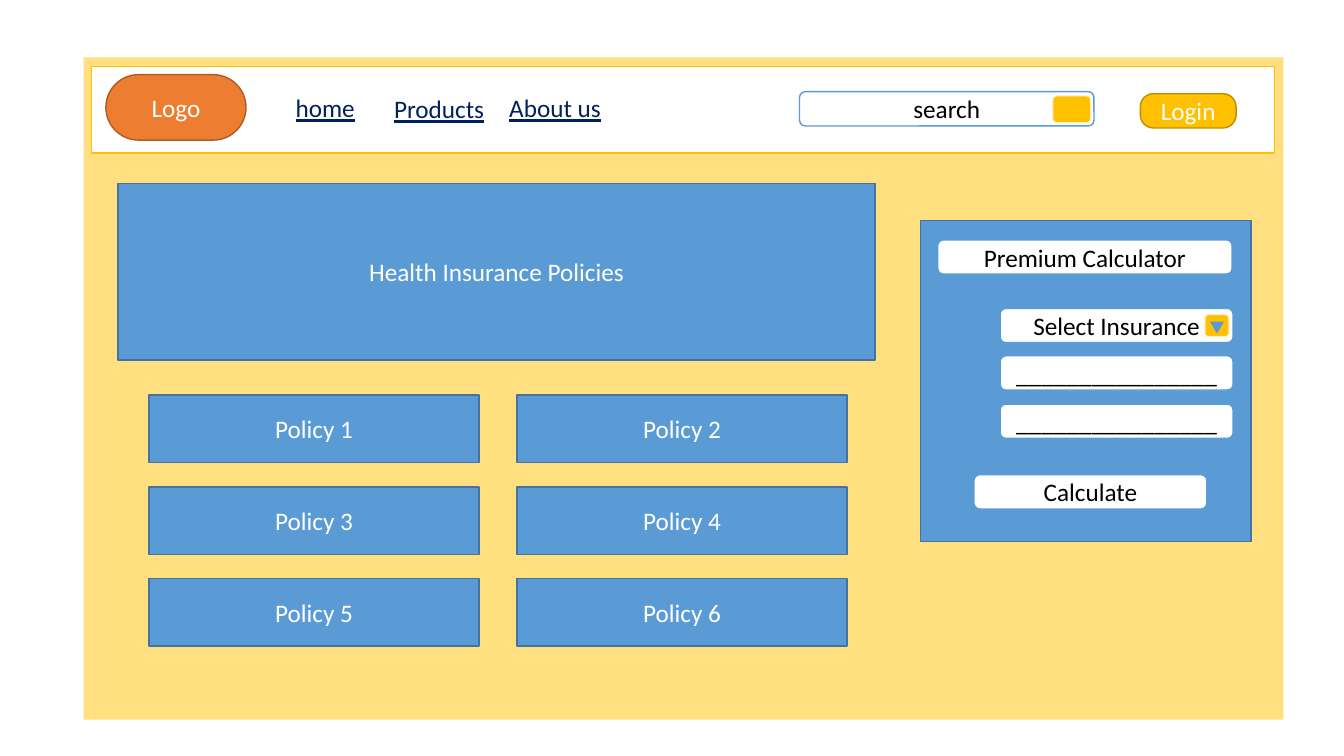
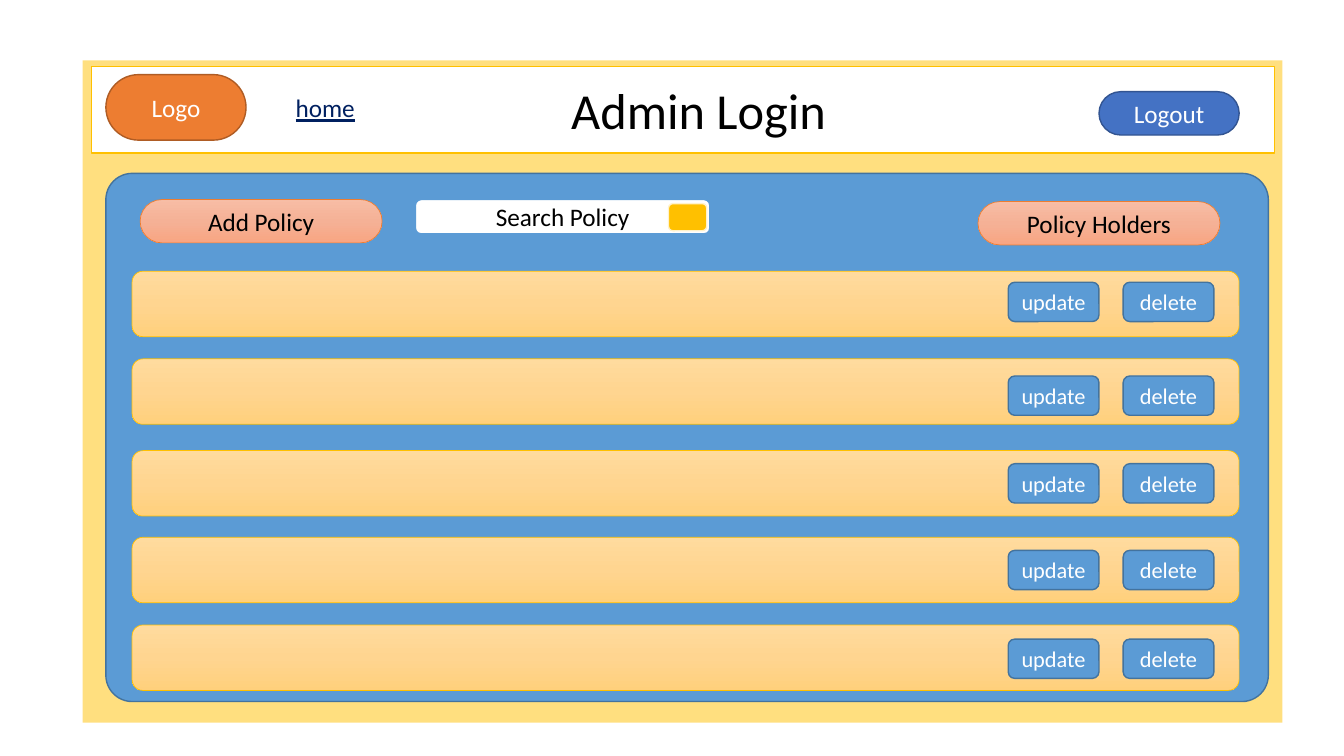
"""Build the wireframes of an insurance site: the home page and the admin page."""
import copy

import pptx
import pptx.dml.color
import pptx.enum.shapes
import pptx.enum.text
import pptx.oxml
import pptx.oxml.ns
import pptx.util

Inches = pptx.util.Inches
RGBColor = pptx.dml.color.RGBColor
PRESET = pptx.enum.shapes.MSO_SHAPE

WHITE = RGBColor(0xFF, 0xFF, 0xFF)
BLACK = RGBColor(0x00, 0x00, 0x00)
NAVY = RGBColor(0x00, 0x20, 0x60)
GOLD = RGBColor(0xFF, 0xC0, 0x00)
DARK_GOLD = RGBColor(0xBD, 0x8E, 0x00)
CREAM = RGBColor(0xFF, 0xF2, 0xCC)
BLUE = RGBColor(0x5B, 0x9B, 0xD5)
DARK_BLUE = RGBColor(0x43, 0x73, 0x9E)
ROYAL = RGBColor(0x44, 0x72, 0xC4)
DARK_ROYAL = RGBColor(0x32, 0x54, 0x91)
ORANGE = RGBColor(0xED, 0x7D, 0x31)
RUST = RGBColor(0xAF, 0x5C, 0x24)
SAND_FADE = [RGBColor(0xFF, 0xDB, 0x9E), RGBColor(0xFF, 0xD5, 0x90), RGBColor(0xFF, 0xD0, 0x7C)]
SALMON_FADE = [RGBColor(0xF7, 0xBD, 0xA5), RGBColor(0xF5, 0xB1, 0x96), RGBColor(0xF8, 0xA5, 0x82)]


def dress(shape, text="", fill=None, line=None, ink=WHITE, size=18, underline=False):
    """Set fill, outline and centred text; a list of three colours fades downwards."""
    shape.shadow.inherit = False
    if isinstance(fill, list):
        shape.fill.gradient()
        shape.fill.gradient_angle = 270
        stops = shape.element.spPr.find(".//" + pptx.oxml.ns.qn("a:gsLst"))
        stops.insert(1, copy.deepcopy(stops[0]))
        stops[1].set("pos", "50000")
        for stop, color in zip(shape.fill.gradient_stops, fill):
            stop.color.rgb = color
    elif fill is not None:
        shape.fill.solid()
        shape.fill.fore_color.rgb = fill
    if line is None:
        shape.line.fill.background()
    else:
        shape.line.color.rgb = line
        shape.line.width = pptx.util.Pt(0.5 if isinstance(fill, list) else 1)
    if text:
        frame = shape.text_frame
        frame.word_wrap = True
        frame.auto_size = pptx.enum.text.MSO_AUTO_SIZE.NONE
        frame.vertical_anchor = pptx.enum.text.MSO_ANCHOR.MIDDLE
        frame.paragraphs[0].alignment = pptx.enum.text.PP_ALIGN.CENTER
        run = frame.paragraphs[0].add_run()
        run.text = text
        run.font.name = "Calibri"
        run.font.size = pptx.util.Pt(size)
        run.font.color.rgb = ink
        run.font.underline = underline


def block(slide, preset, at, text="", fill=None, line=None, rounding=None, **text_style):
    """Add a preset shape at (left, top, width, height) in inches."""
    shape = slide.shapes.add_shape(preset, *map(Inches, at))
    if rounding is not None:
        shape.adjustments[0] = rounding
    dress(shape, text, fill, line, **text_style)
    return shape


deck = pptx.Presentation()
deck.slide_width = Inches(13.33)
deck.slide_height = Inches(7.5)
title_only = deck.slide_layouts[5]

home_links = [("home", 2.78, 0.87, 0.89), ("Products", 3.78, 0.88, 1.15), ("About us", 4.87, 0.87, 1.27)]
pages = [
    ((0.83, 0.57), home_links, (1.17, 1.82, 7.51, 1.75),
     dict(text="Health Insurance Policies", fill=BLUE, line=DARK_BLUE)),
    ((0.82, 0.6), home_links[:1], (4.56, 0.73, 4.74, 0.71),
     dict(text="Admin Login", ink=BLACK, size=36)),
]
for corner, links, title_at, title_style in pages:
    slide = deck.slides.add_slide(title_only)
    backdrop = block(slide, PRESET.RECTANGLE, (*corner, 11.9, 6.57), fill=GOLD)
    gold = backdrop.element.spPr.find(".//" + pptx.oxml.ns.qn("a:srgbClr"))
    gold.append(pptx.oxml.parse_xml(f'<a:alpha {pptx.oxml.ns.nsdecls("a")} val="50000"/>'))
    block(slide, PRESET.RECTANGLE, (0.91, 0.66, 11.73, 0.86), fill=WHITE, line=GOLD)
    block(slide, PRESET.ROUNDED_RECTANGLE, (1.05, 0.74, 1.39, 0.65), "Logo", ORANGE, RUST, 0.5)
    for label, left, top, width in links:
        link = slide.shapes.add_textbox(Inches(left), Inches(top), Inches(width), Inches(0.4))
        dress(link, label, ink=NAVY, underline=True)
    title = slide.shapes.title
    title.left, title.top, title.width, title.height = map(Inches, title_at)
    dress(title, **title_style)
    title.element.getparent().append(title.element)

home, admin = deck.slides

for index in range(6):
    row, column = divmod(index, 2)
    block(home, PRESET.RECTANGLE, (1.48 + 3.65 * column, 3.92 + 0.91 * row, 3.27, 0.67),
          f"Policy {index + 1}", BLUE, DARK_BLUE)

block(home, PRESET.RECTANGLE, (9.13, 2.19, 3.28, 3.18), fill=BLUE, line=DARK_BLUE)
blank_entry = "_" * 16
for page, label, left, top, width in [
    (home, "search", 7.93, 0.91, 2.92),
    (home, "Premium Calculator", 9.3, 2.38, 2.92),
    (home, "Select Insurance", 9.92, 3.06, 2.31),
    (home, blank_entry, 9.92, 3.53, 2.31),
    (home, blank_entry, 9.92, 4.01, 2.31),
    (home, "Calculate", 9.66, 4.71, 2.31),
]:
    block(page, PRESET.ROUNDED_RECTANGLE, (left, top, width, 0.34), label, WHITE, BLUE, ink=BLACK)
block(home, PRESET.ROUNDED_RECTANGLE, (10.44, 0.95, 0.38, 0.27), fill=GOLD, line=CREAM)
block(home, PRESET.ROUNDED_RECTANGLE, (11.31, 0.93, 0.95, 0.34), "Login", GOLD, DARK_GOLD, 0.38)
block(home, PRESET.ROUNDED_RECTANGLE, (11.95, 3.12, 0.24, 0.22), fill=GOLD, line=CREAM)
dropdown_arrow = block(home, PRESET.ISOSCELES_TRIANGLE, (12, 3.19, 0.14, 0.12), fill=BLUE)
dropdown_arrow.rotation = 180

block(admin, PRESET.ROUNDED_RECTANGLE, (10.9, 0.91, 1.39, 0.43), "Logout", ROYAL, DARK_ROYAL, 0.5)
block(admin, PRESET.ROUNDED_RECTANGLE, (1.05, 1.72, 11.53, 5.24), "", BLUE, DARK_BLUE, 0.05)
for label, left, top in [("Add Policy", 1.39, 1.98), ("Policy Holders", 9.7, 2)]:
    block(admin, PRESET.ROUNDED_RECTANGLE, (left, top, 2.4, 0.43), label, SALMON_FADE, ORANGE, 0.5,
          ink=BLACK)
block(admin, PRESET.ROUNDED_RECTANGLE, (4.12, 1.98, 2.92, 0.34), "Search Policy", WHITE, BLUE, ink=BLACK)
block(admin, PRESET.ROUNDED_RECTANGLE, (6.63, 2.02, 0.38, 0.27), fill=GOLD, line=CREAM)
for row_top, button_top in [(2.69, 2.8), (3.56, 3.73), (4.47, 4.6), (5.33, 5.46), (6.2, 6.34)]:
    block(admin, PRESET.ROUNDED_RECTANGLE, (1.31, row_top, 10.98, 0.65), fill=SAND_FADE, line=GOLD)
    for action, left in [("update", 10), ("delete", 11.14)]:
        block(admin, PRESET.ROUNDED_RECTANGLE, (left, button_top, 0.9, 0.39), action, BLUE, DARK_BLUE,
              size=16)

deck.save("out.pptx")
